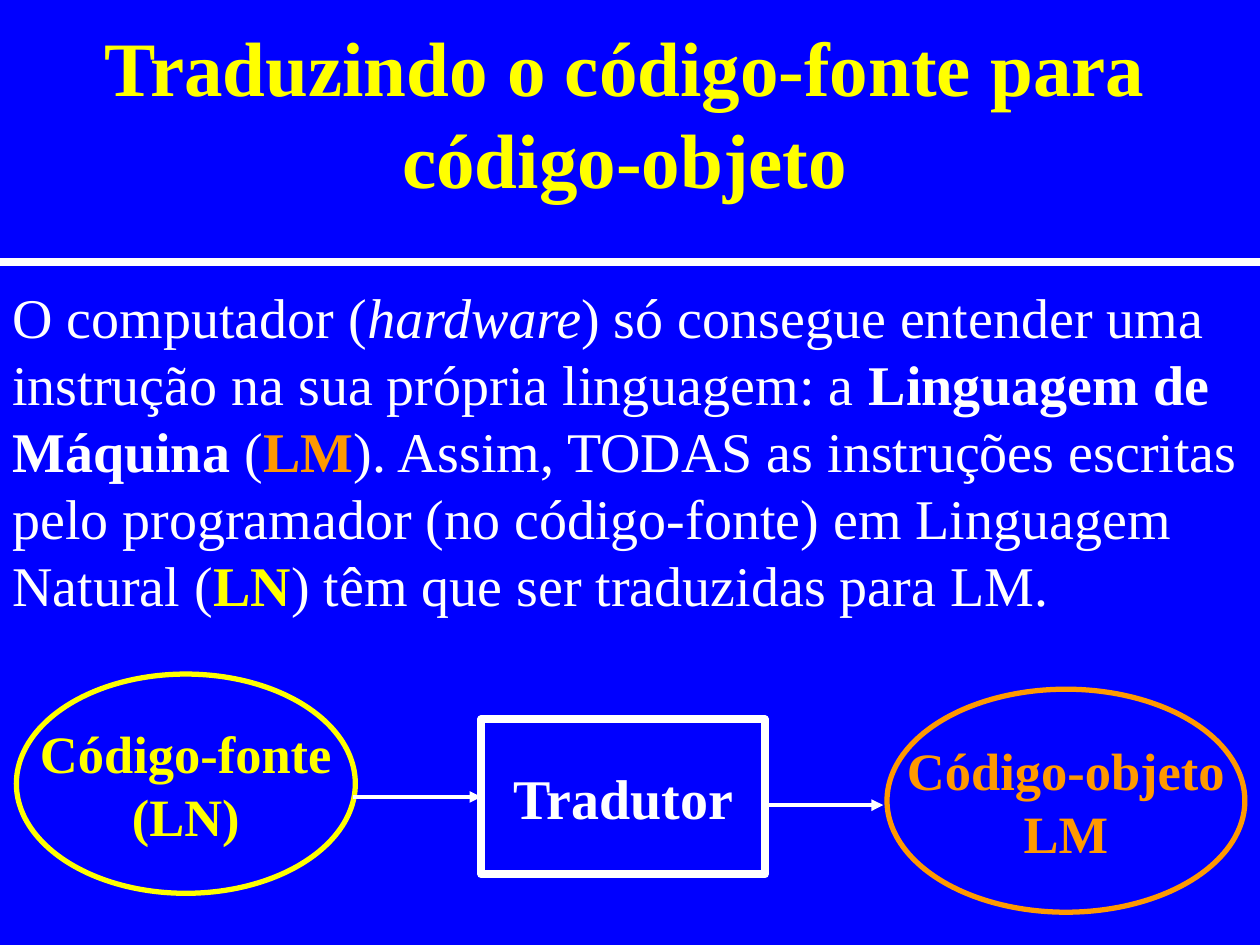
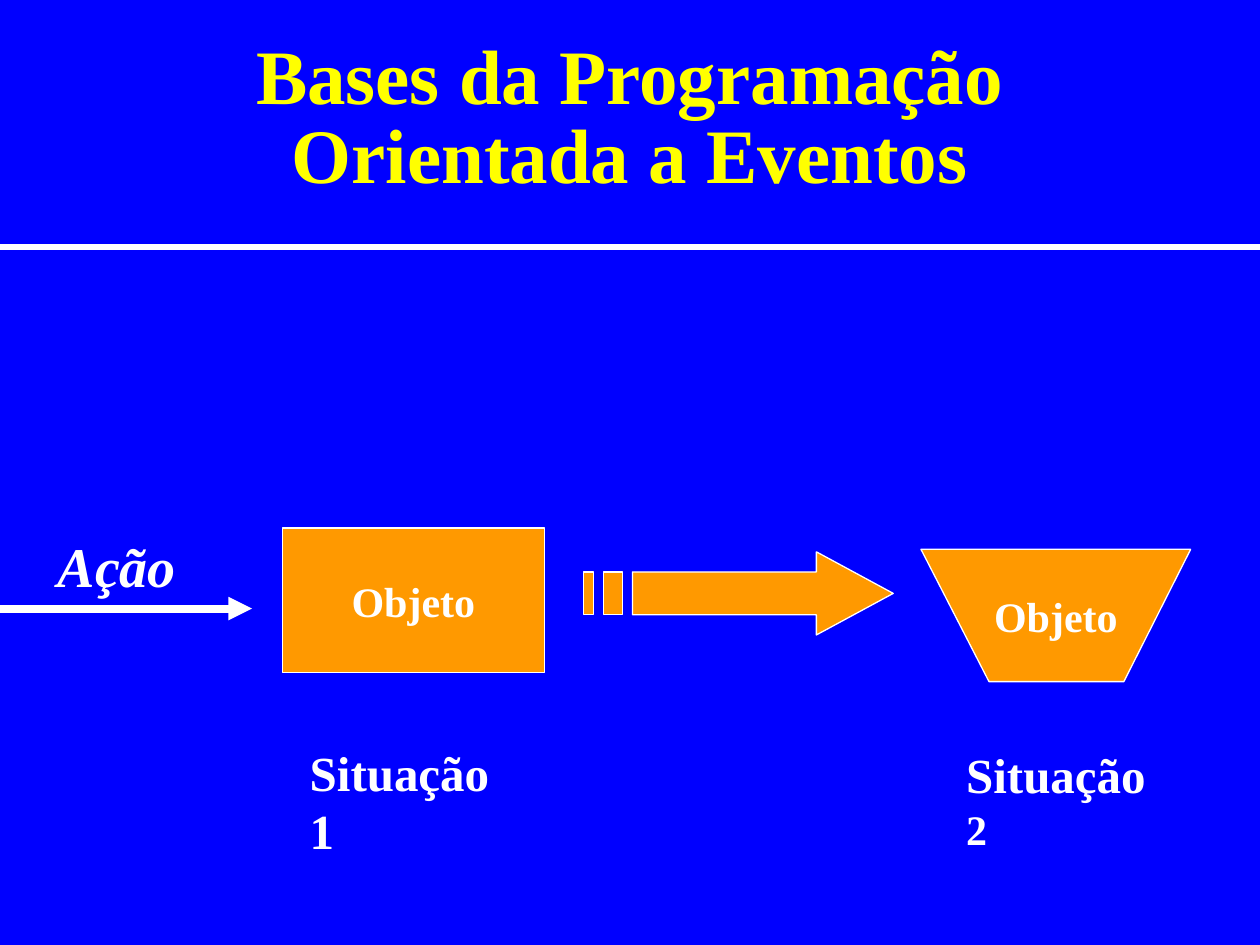
from dataclasses import dataclass
from typing import NamedTuple

from lxml import etree
from pptx import Presentation
from pptx.dml.color import RGBColor
from pptx.enum.shapes import MSO_CONNECTOR, MSO_SHAPE
from pptx.enum.text import MSO_ANCHOR, PP_ALIGN
from pptx.oxml.ns import qn
from pptx.util import Inches, Pt

STRAIGHT = MSO_CONNECTOR.STRAIGHT
RECTANGLE, ELLIPSE = MSO_SHAPE.RECTANGLE, MSO_SHAPE.OVAL
LEFT, CENTER = PP_ALIGN.LEFT, PP_ALIGN.CENTER
TOP, MIDDLE = MSO_ANCHOR.TOP, MSO_ANCHOR.MIDDLE
LEFT_SIDE = 1

COLORS = {"blue": "0000FF", "white": "FFFFFF", "yellow": "FFFF00", "orange": "FF9900"}
FONT = "Times New Roman"
WIDTH, HEIGHT = Inches(10), Inches(7.5)
COLUMNS, ROWS = 100, 75


class Box(NamedTuple):
    column: float
    row: float
    columns: float
    rows: float


class Run(NamedTuple):
    text: str
    color: str | None = None
    bold: bool | None = None
    italic: bool | None = None
    size: float | None = None


@dataclass
class Text:
    lines: list
    size: float
    color: str = "white"
    bold: bool = True
    italic: bool = False
    align: int = LEFT
    anchor: int = TOP
    wrap: bool = False
    spacing: float | None = None


@dataclass
class Style:
    line: str
    weight: float
    fill: str | None = None


OBJECT_STYLE = Style("white", 0.75, "orange")
OBJECT_TEXT = Text(["Objeto"], 24, align=CENTER, anchor=MIDDLE)


def across(columns: float) -> int:
    return round(WIDTH * columns / COLUMNS)


def down(rows: float) -> int:
    return round(HEIGHT * rows / ROWS)


def place(box: Box) -> tuple:
    return across(box.column), down(box.row), across(box.columns), down(box.rows)


def rgb(name: str) -> RGBColor:
    return RGBColor.from_string(COLORS[name])


def write(shape, text: Text) -> None:
    frame = shape.text_frame
    frame.word_wrap = text.wrap
    frame.vertical_anchor = text.anchor
    for index, line in enumerate(text.lines):
        paragraph = frame.add_paragraph() if index else frame.paragraphs[0]
        paragraph.alignment = text.align
        paragraph.line_spacing = text.spacing
        font = paragraph.font
        font.name, font.size = FONT, Pt(text.size)
        font.bold, font.italic = text.bold, text.italic
        font.color.rgb = rgb(text.color)
        for part in [Run(line)] if isinstance(line, str) else line:
            run = paragraph.add_run()
            run.text = part.text
            if part.color:
                run.font.color.rgb = rgb(part.color)
            if part.size:
                run.font.size = Pt(part.size)
            if part.bold is not None:
                run.font.bold = part.bold
            if part.italic is not None:
                run.font.italic = part.italic


def add_text(slide, box: Box, text: Text) -> None:
    write(slide.shapes.add_textbox(*place(box)), text)


def paint(shape, style: Style) -> None:
    shape.shadow.inherit = False
    if style.fill:
        shape.fill.solid()
        shape.fill.fore_color.rgb = rgb(style.fill)
    else:
        shape.fill.background()
    shape.line.color.rgb = rgb(style.line)
    shape.line.width = Pt(style.weight)


def add_node(slide, kind: int, box: Box, style: Style, text: Text):
    shape = slide.shapes.add_shape(kind, *place(box))
    paint(shape, style)
    write(shape, text)
    return shape


def add_outline(slide, contours: list, style: Style):
    points = [[(across(x), down(y)) for x, y in contour] for contour in contours]
    builder = slide.shapes.build_freeform(*points[0][0], scale=1.0)
    for index, contour in enumerate(points):
        if index:
            builder.move_to(*contour[0])
        builder.add_line_segments(contour[1:], close=True)
    shape = builder.convert_to_shape()
    paint(shape, style)
    return shape


def add_line(slide, start: float, end: float, row: float, weight: float, arrow: bool = False):
    line = slide.shapes.add_connector(STRAIGHT, across(start), down(row), across(end), down(row))
    line.line.color.rgb = rgb("white")
    line.line.width = Pt(weight)
    if arrow:
        etree.SubElement(line.line._get_or_add_ln(), qn("a:tailEnd"), type="triangle")
    etree.SubElement(line._element.spPr, qn("a:effectLst"))
    return line


def add_titled_slide(presentation, title: str, box: Box, rule_row: float,
                     rule_weight: float, spacing: float | None = None):
    slide = presentation.slides.add_slide(presentation.slide_layouts[6])
    slide.background.fill.solid()
    slide.background.fill.fore_color.rgb = rgb("blue")
    add_text(slide, box, Text([title], 44, "yellow", align=CENTER, anchor=MIDDLE,
                              wrap=True, spacing=spacing))
    add_line(slide, 0, COLUMNS, rule_row, rule_weight)
    return slide


def build_translation(presentation) -> None:
    slide = add_titled_slide(presentation, "Traduzindo o código-fonte para código-objeto",
                             Box(2.5, 2.6, 94.2, 12.5), 20.8, 4.5)
    explanation = [
        Run("O computador ("),
        Run("hardware", italic=True),
        Run(") só consegue entender uma instrução na sua própria linguagem: a "),
        Run("Linguagem de Máquina ", bold=True),
        Run("("),
        Run("LM", "orange", True),
        Run("). Assim, TODAS as instruções escritas pelo programador "
            "(no código-fonte) em Linguagem Natural ("),
        Run("LN", "yellow", True),
        Run(") têm que ser traduzidas para LM."),
    ]
    add_text(slide, Box(0, 21.9, 100, 27.7), Text([explanation], 32, bold=False, wrap=True))

    for box, color, lines in (
        (Box(1.3, 53.5, 26.9, 17.4), "yellow", ["Código-fonte", "(LN)"]),
        (Box(70.4, 54.7, 28.4, 17.7), "orange", ["Código-objeto", "LM"]),
    ):
        add_node(slide, ELLIPSE, box, Style(color, 3),
                 Text(lines, 30, color, align=CENTER, anchor=MIDDLE))
    translator = add_node(slide, RECTANGLE, Box(38.2, 57.1, 22.5, 12.3), Style("white", 4.5),
                          Text(["Tradutor"], 32, align=CENTER, anchor=MIDDLE))
    source_arrow = add_line(slide, 28, 38.2, 63.25, 2.25, arrow=True)
    source_arrow.end_connect(translator, LEFT_SIDE)
    add_line(slide, 61, 70.1, 63.9, 2.25, arrow=True)


def build_events(presentation) -> None:
    slide = add_titled_slide(presentation, "Bases da Programação Orientada a Eventos",
                             Box(7.5, 3.3, 85, 12.5), 19.6, 3, 0.85)
    add_node(slide, RECTANGLE, Box(22.4, 41.9, 20.8, 11.5), OBJECT_STYLE, OBJECT_TEXT)
    add_line(slide, 0, 20, 48.3, 4.5, arrow=True)

    top, bottom = 45.4, 48.8
    arrow = [(64.8, 43.8), (64.8, top), (50.2, top), (50.2, bottom),
             (64.8, bottom), (64.8, 50.4), (70.9, 47.1)]
    stripes = [[(left, top), (left, bottom), (right, bottom), (right, top)]
               for left, right in ((47.9, 49.4), (46.3, 47.1))]
    add_outline(slide, [arrow, *stripes], OBJECT_STYLE)

    trapezoid = [(73.1, 43.6), (78.5, 54.1), (89.2, 54.1), (94.5, 43.6)]
    write(add_outline(slide, [trapezoid], OBJECT_STYLE), OBJECT_TEXT)

    add_text(slide, Box(3.6, 41.7, 13.5, 6.4), Text(["Ação"], 32, italic=True, wrap=True))
    add_text(slide, Box(23.6, 58.4, 19.1, 5.7), Text(["Situação 1"], 28))
    add_text(slide, Box(75.7, 58.6, 18.7, 5.7),
             Text([[Run("Situação"), Run(" 2", size=24)]], 28))


def main() -> None:
    presentation = Presentation()
    presentation.slide_width, presentation.slide_height = WIDTH, HEIGHT
    build_translation(presentation)
    build_events(presentation)
    presentation.save("out.pptx")


if __name__ == "__main__":
    main()
